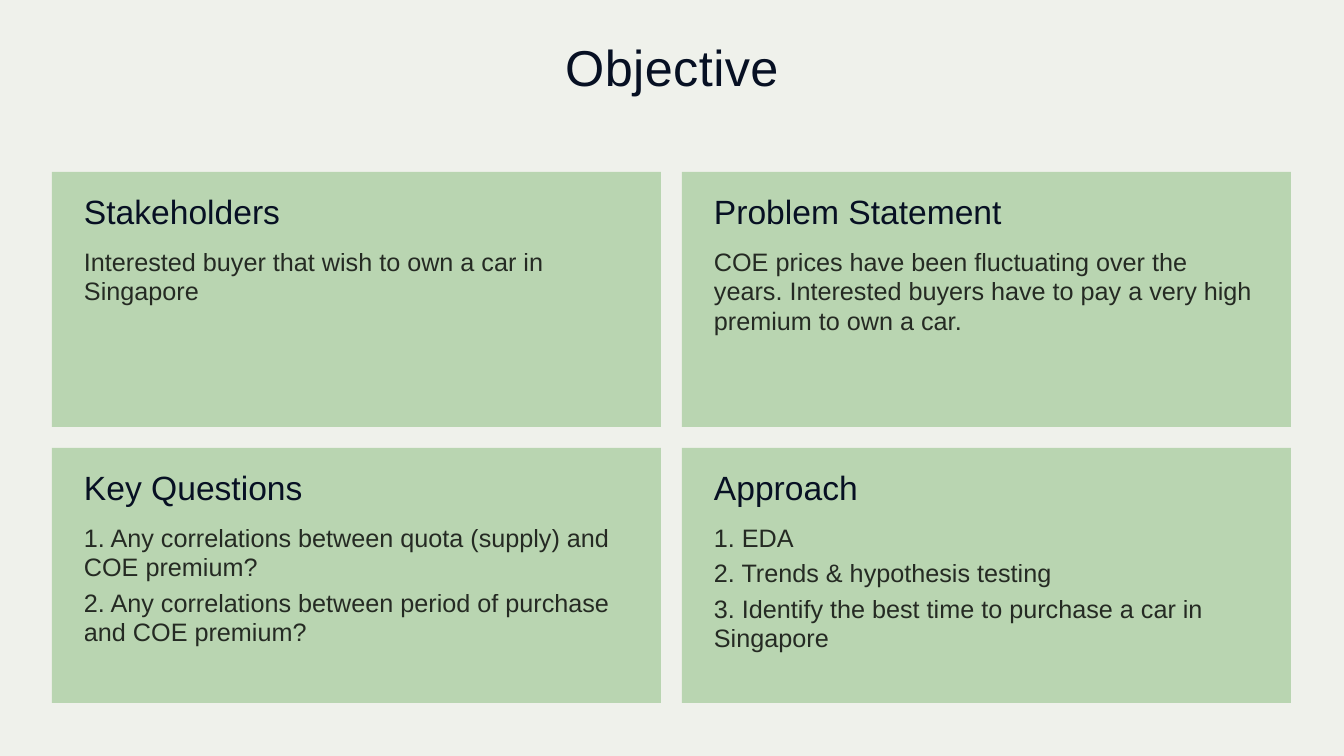
from pptx import Presentation
from pptx import util as u
from pptx.dml.color import RGBColor
from pptx.enum import shapes, text
from pptx.oxml.ns import qn
from lxml import etree

PX = 9071.43  # EMU per px
WIDE, HIGH = 1344, 756
PAPER, GREEN, NAVY, BLACK = "EFF1EB", "B9D5B1", "071023", "000000"
CARDS = [
    ("Stakeholders", ["Interested buyer that wish to own a car in Singapore"]),
    ("Problem Statement", [
        "COE prices have been fluctuating over the years. "
        "Interested buyers have to pay a very high premium to own a car."]),
    ("Key Questions", [
        "1. Any correlations between quota (supply) and COE premium?",
        "2. Any correlations between period of purchase and COE premium?"]),
    ("Approach", [
        "1. EDA",
        "2. Trends & hypothesis testing",
        "3. Identify the best time to purchase a car in Singapore"]),
]


def px(*sizes):
    return [u.Emu(round(size * PX)) for size in sizes]


def paint(color, code):
    color.rgb = RGBColor.from_string(code)


def fill(item, code):
    item.fill.solid()
    paint(item.fill.fore_color, code)


def write(slide, box, lines, size, lead, code=NAVY, align=text.PP_ALIGN.LEFT,
          gap=0, alpha=None, track=None):
    """Add a text box; lead and gap are points, alpha is percent opacity."""
    frame = slide.shapes.add_textbox(*px(*box)).text_frame
    frame.word_wrap = True
    frame.margin_left = frame.margin_right = 0
    frame.margin_top = frame.margin_bottom = 0
    for i, line in enumerate(lines):
        par = frame.paragraphs[0] if i == 0 else frame.add_paragraph()
        par.alignment = align
        par.line_spacing = u.Pt(lead)
        if i:
            par.space_before = u.Pt(gap)
        run = par.add_run()
        run.text = line
        run.font.name, run.font.size = "Arial", u.Pt(size)
        paint(run.font.color, code)
        props = run.font.fill._xPr
        if alpha:
            tint = props.find(".//" + qn("a:srgbClr"))
            etree.SubElement(tint, qn("a:alpha"), val=str(alpha * 1000))
        if track:
            props.set("spc", str(round(track * 100)))


def card(slide, box, head, lines):
    left, top, wide, high = box
    panel = slide.shapes.add_shape(shapes.MSO_SHAPE.RECTANGLE, *px(*box))
    panel.shadow.inherit = False
    panel.line.fill.background()
    fill(panel, GREEN)
    inner = left + 32, wide - 65
    write(slide, (inner[0], top + 23, inner[1], 36), [head], 24, 25.7)
    write(slide, (inner[0], top + 75, inner[1], high - 98), lines, 18, 21,
          code=BLACK, gap=4.4, alpha=80)


def grid(slide, box, gap=21, cols=2):
    left, top, wide, high = box
    rows = len(CARDS) // cols
    width = (wide - gap * (cols - 1)) / cols
    height = (high - gap * (rows - 1)) / rows
    for i, (head, lines) in enumerate(CARDS):
        row, col = divmod(i, cols)
        spot = left + col * (width + gap), top + row * (height + gap)
        card(slide, (*spot, width, height), head, lines)


def main():
    deck = Presentation()
    deck.slide_width, deck.slide_height = px(WIDE, HIGH)
    slide = deck.slides.add_slide(deck.slide_layouts[6])
    fill(slide.background, PAPER)
    write(slide, (0, 44, WIDE, 52), ["Objective"], 36, 37.7,
          align=text.PP_ALIGN.CENTER, track=0.3)
    grid(slide, (52, 172, 1239, 531))
    deck.save("out.pptx")


if __name__ == "__main__":
    main()
